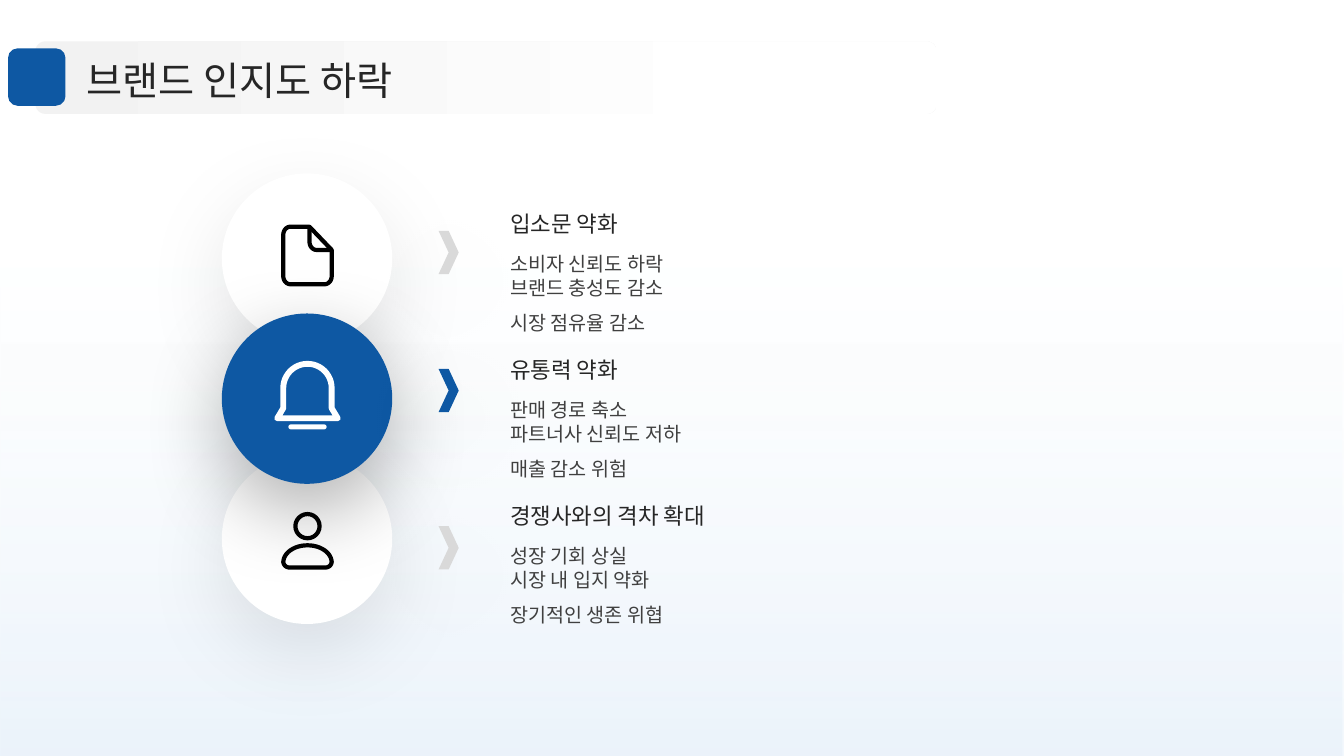
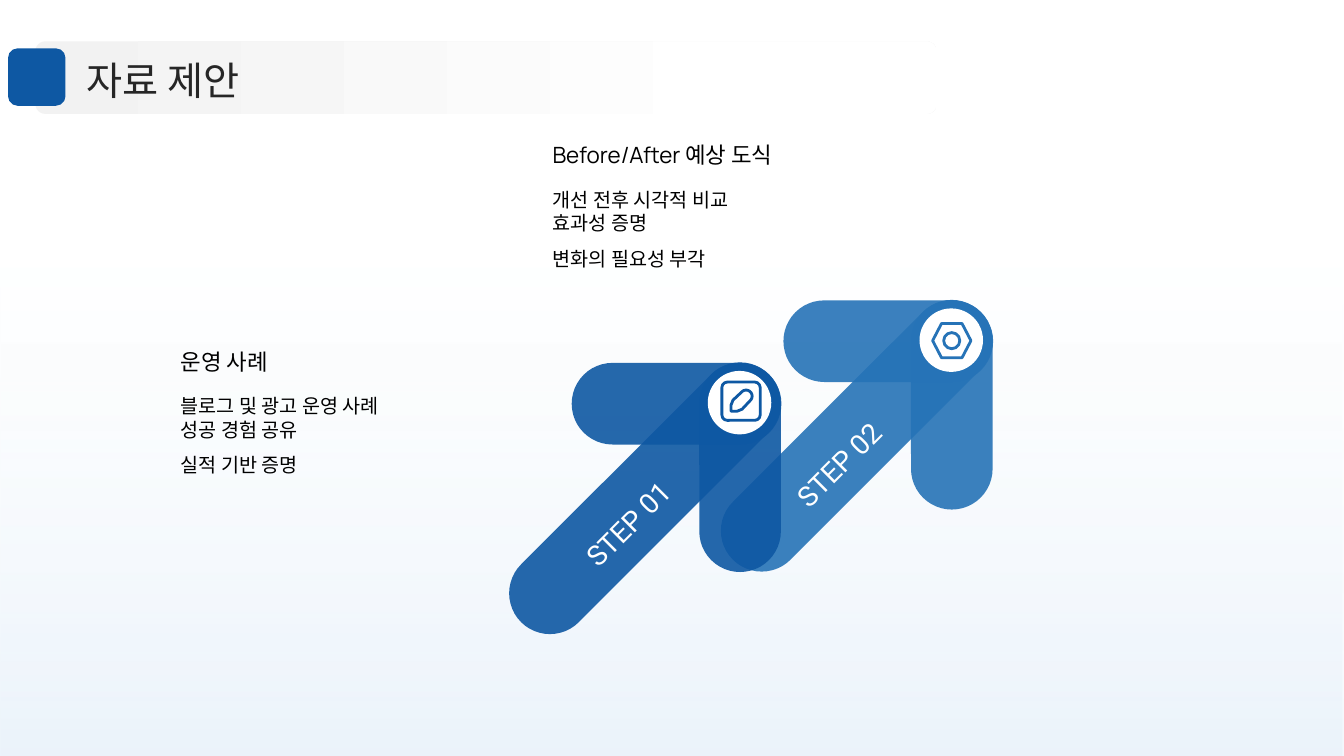
"""Build two slides on brand decline and proposal material."""
from math import cos, radians, sin

from lxml import etree
from pptx import Presentation
from pptx.dml.color import RGBColor
from pptx.enum.shapes import MSO_SHAPE
from pptx.enum.text import MSO_ANCHOR, PP_ALIGN
from pptx.oxml.ns import qn
from pptx.util import Inches, Pt

RECT, ROUND = MSO_SHAPE.RECTANGLE, MSO_SHAPE.ROUNDED_RECTANGLE
OVAL, HEX, CHEVRON = MSO_SHAPE.OVAL, MSO_SHAPE.HEXAGON, MSO_SHAPE.CHEVRON
TOP, MIDDLE, BOTTOM = MSO_ANCHOR.TOP, MSO_ANCHOR.MIDDLE, MSO_ANCHOR.BOTTOM
LEFT, CENTER = PP_ALIGN.LEFT, PP_ALIGN.CENTER

BLUE = RGBColor(0x0E, 0x58, 0xA3)
SKY = RGBColor(0x26, 0x73, 0xB7)
PALE = RGBColor(0xCF, 0xE3, 0xF5)
WHITE = RGBColor(0xFF, 0xFF, 0xFF)
BLACK = RGBColor(0, 0, 0)
INK = RGBColor(0x26, 0x26, 0x26)
SLATE = RGBColor(0x40, 0x40, 0x40)
GRAY = RGBColor(0xD9, 0xD9, 0xD9)
MIST = RGBColor(0xF2, 0xF2, 0xF2)
SANS, LABEL = "Manrope", "Roboto"

RISKS = [
    ("입소문 약화", ["소비자 신뢰도 하락", "브랜드 충성도 감소", "시장 점유율 감소"]),
    ("유통력 약화", ["판매 경로 축소", "파트너사 신뢰도 저하", "매출 감소 위험"]),
    ("경쟁사와의 격차 확대", ["성장 기회 상실", "시장 내 입지 약화", "장기적인 생존 위협"]),
]
MARKS = [(2.29, GRAY, 10), (3.66, BLUE, 20), (5.22, GRAY, 10)]
DISKS = [(2, WHITE, 10), (0, WHITE, 10), (1, BLUE, 30)]
OFFERS = [
    (5.48, 1.13, "Before/After 예상 도식",
     ["개선 전후 시각적 비교", "효과성 증명", "변화의 필요성 부각"]),
    (1.79, 3.18, "운영 사례",
     ["블로그 및 광고 운영 사례", "성공 경험 공유", "실적 기반 증명"]),
]


def fade(shape, *levels):
    """Set the opacity of each plain colour in a shape."""
    for node, level in zip(shape.element.iter(qn("a:srgbClr")), levels):
        etree.SubElement(node, qn("a:alpha"), val=str(level * 1000))


def blend(shape, stops, angle):
    """Fill a shape with a two-colour gradient."""
    shape.fill.gradient()
    shape.fill.gradient_angle = angle
    for stop, (place, color) in zip(shape.fill.gradient_stops, stops):
        stop.position = place
        stop.color.rgb = color


def glow(shape, level):
    """Drop a soft shadow below a shape."""
    box = shape.element.spPr.find(qn("a:effectLst"))
    drop = etree.SubElement(box, qn("a:outerShdw"), blurRad=str(Pt(60)),
                            dist=str(Pt(20)), dir="5400000", algn="t", rotWithShape="0")
    tint = etree.SubElement(drop, qn("a:srgbClr"), val="000000")
    etree.SubElement(tint, qn("a:alpha"), val=str(level * 1000))


def paint(shape, fill=None, line=None, width=0):
    """Give a shape a flat fill or an outline, without a shadow."""
    shape.shadow.inherit = False
    if fill is None:
        shape.fill.background()
    else:
        shape.fill.solid()
        shape.fill.fore_color.rgb = fill
    if line is None:
        shape.line.fill.background()
    else:
        shape.line.color.rgb = line
        shape.line.width = Pt(width)
    return shape


def draw(slide, kind, x, y, w, h, fill=None, line=None, width=0, adj=None):
    """Add a preset shape."""
    shape = slide.shapes.add_shape(kind, Inches(x), Inches(y), Inches(w), Inches(h))
    if adj is not None:
        shape.adjustments[0] = adj
    return paint(shape, fill, line, width)


def trace(slide, points, line, width, close=True):
    """Outline a freeform through points in inches."""
    spots = [(Inches(x), Inches(y)) for x, y in points]
    pen = slide.shapes.build_freeform(*spots[0])
    pen.add_line_segments(spots[1:], close=close)
    return paint(pen.convert_to_shape(), None, line, width)


def arc(x, y, rx, ry, start, end):
    """List points along an arc, clockwise in degrees."""
    turns = [radians(start + (end - start) * i / 24) for i in range(25)]
    return [(x + rx * cos(t), y + ry * sin(t)) for t in turns]


def style(frame, text, size, color, space, anchor=TOP, font=SANS, align=LEFT, inset=0):
    """Fill a text frame with formatted paragraphs."""
    frame.word_wrap = True
    frame.vertical_anchor = anchor
    frame.margin_left = frame.margin_right = Inches(inset)
    frame.margin_top = frame.margin_bottom = Inches(inset / 2)
    frame.text = text
    for para in frame.paragraphs:
        para.alignment = align
        para.line_spacing = space
        for run in para.runs:
            run.font.size = Pt(size)
            run.font.name = font
            run.font.color.rgb = color


def write(slide, x, y, w, h, *args, **look):
    """Add a text box."""
    box = slide.shapes.add_textbox(Inches(x), Inches(y), Inches(w), Inches(h))
    style(box.text_frame, *args, **look)
    return box


def items(slide, x, y, w, h, lines, color):
    """Add a list whose last line stands a little apart."""
    box = write(slide, x, y, w, h, "\n".join(lines), 14, color, 1.0)
    box.text_frame.paragraphs[-1].space_before = Pt(8.5)


def start(deck, text):
    """Add a slide with the shared backdrop, band and title."""
    slide = deck.slides.add_slide(deck.slide_layouts[5])
    back = draw(slide, RECT, 0, 0, 13.33, 7.5)
    blend(back, [(0, PALE), (0.68, WHITE)], 90)
    fade(back, 41, 20)
    band = draw(slide, ROUND, 0.35, 0.41, 8.94, 0.72, adj=0.14)
    blend(band, [(0, MIST), (0.8, WHITE)], 0)
    draw(slide, ROUND, 0.08, 0.48, 0.57, 0.57, BLUE)
    title = slide.shapes.title
    title.left, title.top = Inches(0.86), Inches(0.51)
    title.width, title.height = Inches(11.67), Inches(0.51)
    style(title.text_frame, text, 28, INK, 1.1, MIDDLE)
    title.element.getparent().append(title.element)
    return slide


def page(slide):
    """Draw the document icon."""
    edge = [(3.07, 2.25), (3.29, 2.48)]
    edge += arc(3.22, 2.74, 0.07, 0.08, 0, 90) + arc(2.88, 2.74, 0.07, 0.08, 90, 180)
    edge += arc(2.88, 2.33, 0.07, 0.08, 180, 270)
    trace(slide, edge, BLACK, 3)
    fold = [(3.07, 2.25)] + arc(3.14, 2.4, 0.07, 0.08, 180, 90) + [(3.29, 2.48)]
    trace(slide, fold, BLACK, 3, False)


def bell(slide):
    """Draw the bell icon."""
    foot = [(3.29, 4.05), (3.35, 4.15), (2.75, 4.15), (2.81, 4.05)]
    trace(slide, arc(3.05, 3.85, 0.24, 0.24, 180, 360) + foot, WHITE, 4.2)
    draw(slide, ROUND, 2.86, 4.21, 0.38, 0.05, WHITE, adj=0.5)


def person(slide):
    """Draw the person icon."""
    draw(slide, OVAL, 2.93, 5.1, 0.24, 0.24, line=BLACK, width=3)
    body = arc(3.05, 5.58, 0.24, 0.17, 180, 360)
    body += arc(3.23, 5.57, 0.06, 0.06, 0, 90) + arc(2.87, 5.57, 0.06, 0.06, 90, 180)
    trace(slide, body, BLACK, 3)


def pencil(slide):
    """Draw the pencil icon."""
    draw(slide, ROUND, 7.16, 3.79, 0.38, 0.38, line=BLUE, width=2, adj=0.14)
    tip = [(7.36, 4.06), (7.31, 4.08), (7.25, 4.08), (7.25, 4.02), (7.27, 3.97)]
    trace(slide, arc(7.4, 3.93, 0.06, 0.06, 225, 405) + tip, BLUE, 2)


def nut(slide):
    """Draw the nut icon."""
    draw(slide, HEX, 9.25, 3.21, 0.38, 0.34, line=SKY, width=2, adj=0.26)
    draw(slide, OVAL, 9.36, 3.3, 0.16, 0.16, line=SKY, width=2)


def arrow(slide, x, y, color, icon, label, spot):
    """Draw a step arrow from its three bars, icon and label."""
    bars = [(0.63, 0.63, 2.08, 90), (-1.01, 0.94, 3.47, 315), (0, 0, 2.08, 0)]
    for dx, dy, size, turn in bars:
        bar = draw(slide, ROUND, x + dx, y + dy, size, 0.81, color, adj=0.5)
        bar.rotation = turn
        fade(bar, 90)
    draw(slide, OVAL, x + 1.35, y + 0.08, 0.63, 0.63, WHITE)
    icon(slide)
    tag = write(slide, *spot, 1.75, 0.41, label, 20, WHITE, 1.1,
                font=LABEL, align=CENTER, inset=0.1)
    tag.rotation = 315


def risks(deck):
    """Build the slide on falling awareness."""
    slide = start(deck, "브랜드 인지도 하락")
    icons = [page, bell, person]
    for row, color, level in DISKS:
        disk = draw(slide, OVAL, 2.2, 1.72 + 1.39 * row, 1.69, 1.69, color)
        glow(disk, level)
        icons[row](slide)
    for y, color, level in MARKS:
        glow(draw(slide, CHEVRON, 4.35, y, 0.2, 0.43, color), level)
    for row, (head, lines) in enumerate(RISKS):
        y = 2.06 + 1.45 * row
        write(slide, 5.06, y, 6.46, 0.29, head, 16, INK, 1.3, BOTTOM)
        items(slide, 5.06, y + 0.44, 6.46, 0.92, lines, SLATE)


def offers(deck):
    """Build the slide on proposal material."""
    slide = start(deck, "자료 제안")
    for x, y, head, lines in OFFERS:
        write(slide, x, y, 3.68, 0.73, head, 16, BLACK, 1.3, MIDDLE)
        items(slide, x, y + 0.73, 3.68, 1.12, lines, BLACK)
    arrow(slide, 7.77, 2.98, SKY, nut, "STEP 02", (7.41, 4.37))
    arrow(slide, 5.67, 3.6, BLUE, pencil, "STEP 01", (5.32, 4.96))


def main():
    """Save the deck."""
    deck = Presentation()
    deck.slide_width, deck.slide_height = Inches(13.33), Inches(7.5)
    risks(deck)
    offers(deck)
    deck.save("out.pptx")


if __name__ == "__main__":
    main()
